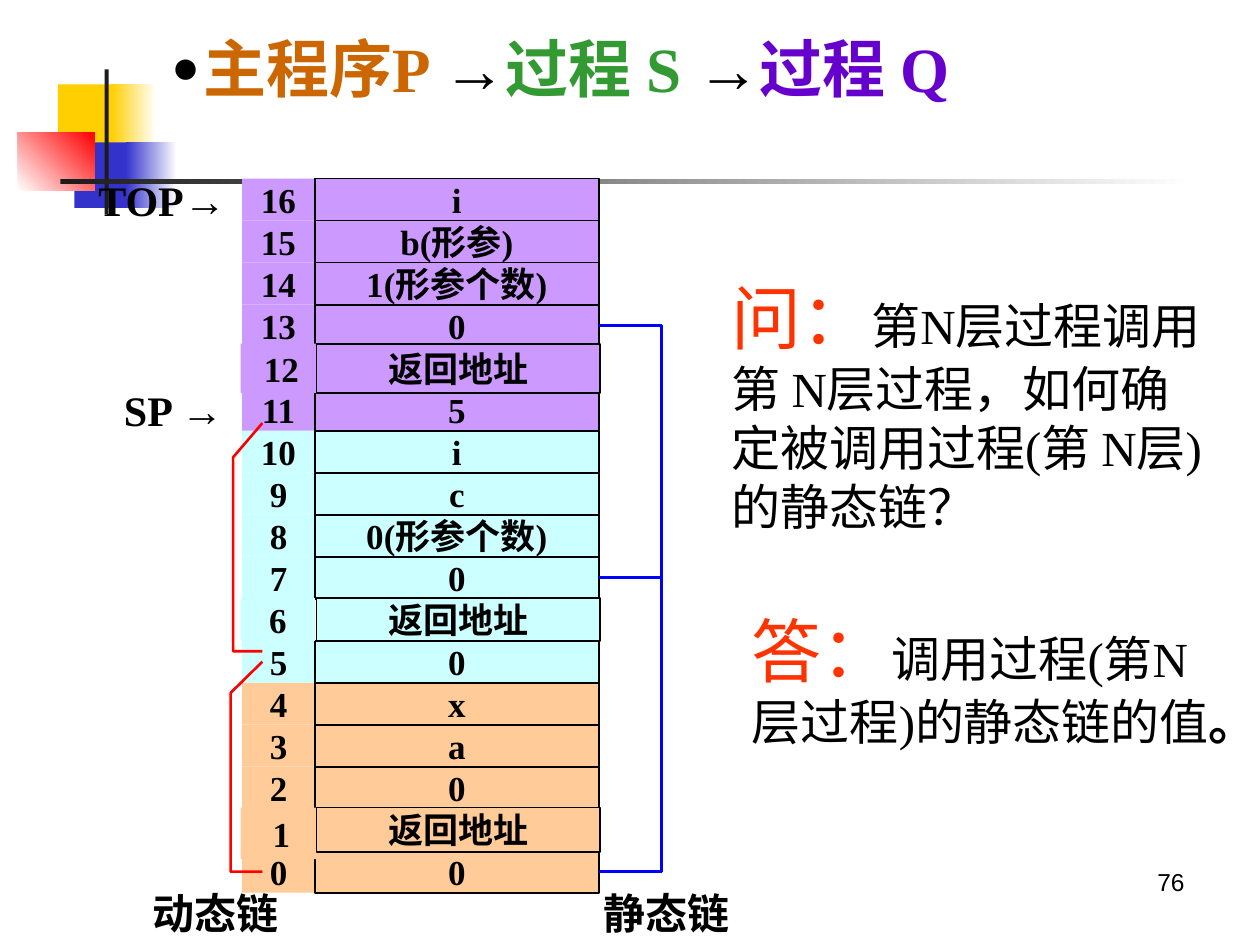
from lxml.etree import SubElement
from pptx import Presentation
from pptx.dml.color import RGBColor
from pptx.enum.shapes import MSO_SHAPE
from pptx.enum.text import MSO_ANCHOR, PP_ALIGN
from pptx.oxml.ns import qn
from pptx.util import Cm, Pt

HUES = {
    "black": "000000", "white": "FFFFFF", "ink": "1C1C1C",
    "gold": "FFCF01", "navy": "3333CC", "red": "FF0000", "blue": "0000FF",
    "main": "FFCC99", "procs": "CCFFFF", "procq": "CC99FF",
    "brown": "CC6600", "green": "339933", "violet": "6600CC", "alert": "FF3300",
}
ROMAN, SANS = "Times New Roman", "Arial"

# left, top, width, height, colours from start to end, angle
DECOR = [
    (1.17, 1.7, 1.22, 1.32, ["gold"], 0),
    (2.24, 1.7, 0.91, 1.32, ["gold", "white"], 0),
    (1.5, 2.87, 1.17, 1.32, ["navy"], 0),
    (2.54, 2.87, 1.02, 1.32, ["navy", "white"], 0),
    (0.36, 2.67, 1.55, 1.17, ["white", "red"], 45),
    (2.11, 1.4, 0.08, 2.92, ["ink"], 0),
    (1.22, 3.61, 22.86, 0.1, ["ink", "white"], 0),
]
STACK = [
    ("main", ["0", "返回地址", "0", "a", "x"]),
    ("procs", ["0", "返回地址", "0", "0(形参个数)", "c", "i"]),
    ("procq", ["5", "返回地址", "0", "1(形参个数)", "b(形参)", "i"]),
]
# row: top, number width, number height, value height
ODD = {
    6: (12.06, 1.5, 0.86, 0.86),
    12: (6.93, 1.65, 0.99, 0.99),
    1: (16.28, 1.65, 1.04, 0.89),
}
TITLE = [
    ("主程序P ", 36, "brown", ROMAN, True), ("→", 36, "black", SANS, True),
    ("过程 S ", 36, "green", ROMAN, True), ("→", 36, "black", SANS, True),
    ("过程 Q", 36, "violet", ROMAN, True),
]
LABELS = [
    (1.7, 7.83, [("SP ", ROMAN), ("→", SANS)]),
    (1.47, 3.6, [("TOP", ROMAN), ("→", SANS)]),
    (2.54, 17.98, [("动态链", ROMAN)]),
    (11.63, 17.98, [("静态链", ROMAN)]),
]
NOTES = [
    ((14.5, 5.41, 10.21, 5.51), [
        ("问：", 40, "alert", ROMAN, False),
        ("第N层过程调用第 N层过程，如何确定被调用过程(第 N层) 的静态链？",
         28, "black", ROMAN, False)]),
    ((14.91, 12.12, 9.8, 4.32), [
        ("答：", 40, "alert", ROMAN, False),
        ("调用过程(第N层过程)的静态链的值", 28, "black", ROMAN, False),
        ("。", 28, "black", ROMAN, True)]),
]
FIRST, LAST = 3.6, 17.15
STEP = (LAST - FIRST) / 16
LEFT, SPLIT, WIDE = 4.88, 6.35, 5.72
CELL = {"vertical_anchor": MSO_ANCHOR.MIDDLE, "word_wrap": False,
        "margin_top": 0, "margin_bottom": 0}
LABEL = {"vertical_anchor": MSO_ANCHOR.MIDDLE, "word_wrap": False}
NOTE = {"vertical_anchor": MSO_ANCHOR.TOP, "word_wrap": True}
HEAD = {"vertical_anchor": MSO_ANCHOR.MIDDLE, "word_wrap": True}


def hue(name):
    return RGBColor.from_string(HUES[name])


def apply(item, vals):
    for key, val in vals.items():
        setattr(item, key, val)


def write(shape, runs, form, align=PP_ALIGN.LEFT):
    frame = shape.text_frame
    apply(frame, form)
    para = frame.paragraphs[0]
    para.alignment = align
    for text, size, tone, face, bold in runs:
        run = para.add_run()
        run.text = text
        apply(run.font, {"size": Pt(size), "name": face, "bold": bold})
        run.font.color.rgb = hue(tone)


def block(slide, box, tones, angle=0):
    shape = slide.shapes.add_shape(MSO_SHAPE.RECTANGLE, *map(Cm, box))
    shape.shadow.inherit = False
    shape.line.fill.background()
    if len(tones) == 1:
        shape.fill.solid()
        shape.fill.fore_color.rgb = hue(tones[0])
    else:
        shape.fill.gradient()
        shape.fill.gradient_angle = angle
        for stop, tone in zip(shape.fill.gradient_stops, tones):
            stop.color.rgb = hue(tone)
    return shape


def cell(slide, box, tone, text, edge):
    shape = block(slide, box, [tone])
    if edge:
        shape.line.color.rgb = hue("black")
        shape.line.width = Pt(1)
    write(shape, [(text, 20, "black", ROMAN, True)], CELL, PP_ALIGN.CENTER)


def stack(slide):
    rows = [(tone, text) for tone, texts in STACK for text in texts]
    order = [n for n in range(len(rows)) if n not in ODD] + list(ODD)
    for n in order:
        tone, text = rows[n]
        shift = 0.03 if n in ODD else 0
        top, wide, high, tall = ODD.get(
            n, (LAST - n * STEP, SPLIT - LEFT, STEP, STEP))
        cell(slide, (LEFT - shift, top, wide, high), tone, str(n), False)
        cell(slide, (SPLIT + shift, top, WIDE, tall), tone, text, True)


def chain(slide, spots, tone):
    start, *rest = [(Cm(x), Cm(y)) for x, y in spots]
    pen = slide.shapes.build_freeform(*start)
    pen.add_line_segments(rest, close=False)
    shape = pen.convert_to_shape()
    shape.shadow.inherit = False
    shape.fill.background()
    shape.line.color.rgb = hue(tone)
    shape.line.width = Pt(1.5)


def links(slide):
    def mid(n):
        return LAST - n * STEP + STEP / 2

    side, out = SPLIT + WIDE, 13.34
    for n in (7, 13):
        chain(slide, [(side, mid(n)), (out, mid(n)),
                      (out, mid(0)), (side, mid(0))], "blue")
    for x, top, bend, end in ((4.65, mid(5), 13.97, mid(0)),
                              (4.7, 8.53, 9.22, 13.13)):
        chain(slide, [(5.29, top), (x, bend), (x, end), (5.29, end)], "red")


def head(slide):
    title = slide.shapes.title
    spots = zip(("left", "top", "width", "height"), (3.2, 0.58, 21.64, 1.55))
    apply(title, {key: Cm(val) for key, val in spots})
    props = title.text_frame.paragraphs[0]._p.get_or_add_pPr()
    props.set("marL", str(Cm(0.64)))
    props.set("indent", str(Cm(-0.64)))
    tint = SubElement(props, qn("a:buClr"))
    SubElement(tint, qn("a:srgbClr")).set("val", HUES["black"])
    SubElement(props, qn("a:buSzPct")).set("val", "75000")
    SubElement(props, qn("a:buFont")).set("typeface", SANS)
    SubElement(props, qn("a:buChar")).set("char", "●")
    write(title, TITLE, HEAD)


def main():
    """Build the run-time stack slide with its dynamic and static links."""
    deck = Presentation()
    apply(deck, {"slide_width": Cm(25.4), "slide_height": Cm(19.05)})
    slide = deck.slides.add_slide(deck.slide_layouts[5])
    for *box, tones, angle in DECOR:
        block(slide, box, tones, angle)
    head(slide)
    stack(slide)
    links(slide)

    def text(box, runs, form, align=PP_ALIGN.LEFT):
        write(slide.shapes.add_textbox(*map(Cm, box)), runs, form, align)

    for left, top, parts in LABELS:
        runs = [(word, 24, "black", face, True) for word, face in parts]
        text((left, top, 3.6, 0.85), runs, LABEL, PP_ALIGN.CENTER)
    for box, runs in NOTES:
        text(box, runs, NOTE)
    text((18.21, 17.35, 5.92, 1.32), [("76", 14, "black", SANS, False)],
         NOTE, PP_ALIGN.RIGHT)
    deck.save("out.pptx")


if __name__ == "__main__":
    main()
